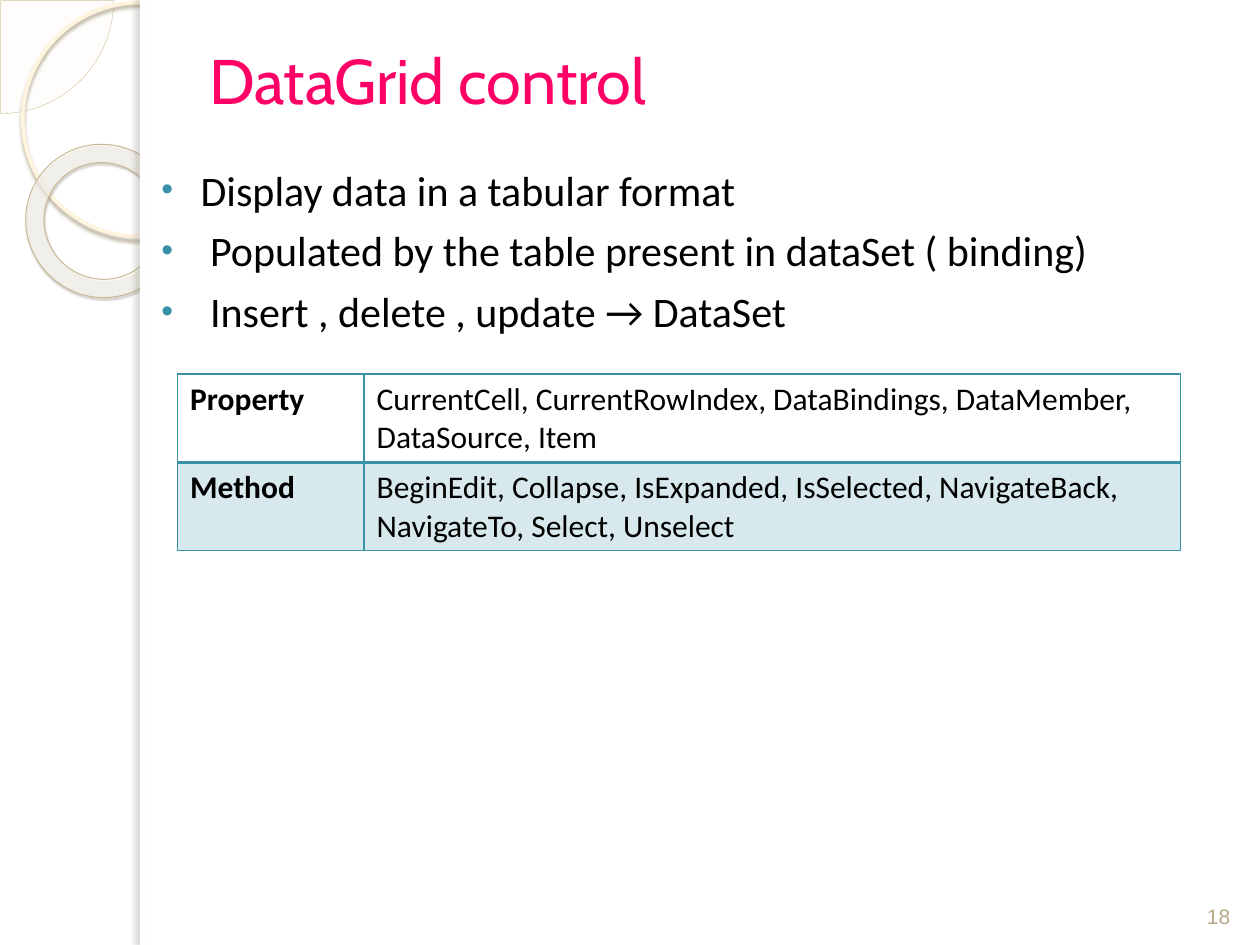
"""Build the DataGrid control slide with its ring decoration, bullet list and table."""
from dataclasses import dataclass
from typing import Optional

from lxml.etree import SubElement
from pptx import Presentation
from pptx.dml.color import RGBColor
from pptx.enum.shapes import MSO_SHAPE
from pptx.enum.text import MSO_ANCHOR, PP_ALIGN
from pptx.oxml import parse_xml
from pptx.oxml.ns import nsdecls, qn
from pptx.util import Cm, Pt

TEAL = "3891A7"
BLACK = "000000"
WHITE = "FFFFFF"

BULLETS = (
    "Display data in a tabular format",
    " Populated by the table present in dataSet ( binding)",
    " Insert , delete , update → DataSet",
)
TABLE_ROWS = (
    ("Property", "CurrentCell, CurrentRowIndex, DataBindings, DataMember, DataSource, Item"),
    ("Method", "BeginEdit, Collapse, IsExpanded, IsSelected, NavigateBack, "
               "NavigateTo, Select, Unselect"),
)


@dataclass(frozen=True)
class Shadow:
    color: str
    opacity: int
    blur: float
    distance: float
    angle: int


@dataclass(frozen=True)
class Ornament:
    preset: MSO_SHAPE
    place: tuple
    fill: Optional[str] = None
    opacity: int = 100
    line: Optional[str] = None
    line_width: float = 0
    adjustments: tuple = ()
    rotation: float = 0
    shadow: Optional[Shadow] = None


ORNAMENTS = (
    Ornament(MSO_SHAPE.PIE, (-2.26, -2.26, 4.55, 4.55), "FEFAF4", 33, "D3C39F", 0.25,
             adjustments=(0, 54)),
    Ornament(MSO_SHAPE.OVAL, (0.46, 0.05, 4.72, 4.72), line="FFF5DE", line_width=2.15,
             shadow=Shadow("B0A68F", 85, 2, 2, 90)),
    Ornament(MSO_SHAPE.DONUT, (0.51, 2.92, 3.12, 3.07), "FFFDF8", 60, "C7B893", 0.58,
             adjustments=(0.12,), rotation=38.6, shadow=Shadow("5A5444", 35, 1, 1.2, 75)),
    Ornament(MSO_SHAPE.RECTANGLE, (2.82, 0, 22.58, 19.05), WHITE),
    Ornament(MSO_SHAPE.RECTANGLE, (2.82, 0, 0.2, 19.05), WHITE,
             shadow=Shadow("736F63", 25, 3, 3, 180)),
)


def rgb(color: str) -> RGBColor:
    return RGBColor.from_string(color)


def place(shape, left: float, top: float, width: float, height: float) -> None:
    shape.left, shape.top, shape.width, shape.height = map(Cm, (left, top, width, height))


def paint(fill, owner, color: str, opacity: int = 100) -> None:
    fill.solid()
    fill.fore_color.rgb = rgb(color)
    if opacity < 100:
        tint = owner.find(qn("a:solidFill")).find(qn("a:srgbClr"))
        SubElement(tint, qn("a:alpha"), val=str(opacity * 1000))


def write(para, text: str, *, size: float, font: str, color: str,
          bold: bool = False, align: PP_ALIGN = PP_ALIGN.LEFT) -> None:
    para.alignment = align
    span = para.add_run()
    span.text = text
    span.font.size = Pt(size)
    span.font.name = font
    span.font.bold = bold
    span.font.color.rgb = rgb(color)


def add_bullet(para) -> None:
    para.space_before = Pt(6)
    properties = para._p.get_or_add_pPr()
    properties.set("marL", str(Cm(1.02)))
    properties.set("indent", str(Cm(-0.79)))
    SubElement(SubElement(properties, qn("a:buClr")), qn("a:srgbClr"), val=TEAL)
    SubElement(properties, qn("a:buSzPct"), val="80000")
    SubElement(properties, qn("a:buFont"), typeface="Arial")
    SubElement(properties, qn("a:buChar"), char="•")


def cast_shadow(shape, shadow: Shadow) -> None:
    effects = shape._element.spPr.find(qn("a:effectLst"))
    outer = SubElement(effects, qn("a:outerShdw"), blurRad=str(Pt(shadow.blur)),
                       dist=str(Pt(shadow.distance)), dir=str(shadow.angle * 60000),
                       algn="tl", rotWithShape="0")
    tint = SubElement(outer, qn("a:srgbClr"), val=shadow.color)
    SubElement(tint, qn("a:alpha"), val=str(shadow.opacity * 1000))


def draw_ornament(page, ornament: Ornament) -> None:
    shape = page.shapes.add_shape(ornament.preset, *map(Cm, ornament.place))
    for index, value in enumerate(ornament.adjustments):
        shape.adjustments[index] = value
    shape.rotation = ornament.rotation
    shape.shadow.inherit = False
    if ornament.fill:
        paint(shape.fill, shape._element.spPr, ornament.fill, ornament.opacity)
    else:
        shape.fill.background()
    if ornament.line:
        shape.line.color.rgb = rgb(ornament.line)
        shape.line.width = Pt(ornament.line_width)
    else:
        shape.line.fill.background()
    if ornament.shadow:
        cast_shadow(shape, ornament.shadow)


def border_cell(cell, **widths: float) -> None:
    properties = cell._tc.get_or_add_tcPr()
    for index, side in enumerate("LRTB"):
        properties.insert(index, parse_xml(
            f'<a:ln{side} {nsdecls("a")} w="{Pt(widths.get(side, 1))}"><a:solidFill>'
            f'<a:srgbClr val="{TEAL}"/></a:solidFill></a:ln{side}>'))


def draw_table(page) -> None:
    table = page.shapes.add_table(2, 2, Cm(3.58), Cm(7.54), Cm(20.22), Cm(3.56)).table
    table.first_row = table.horz_banding = False
    for column, width in zip(table.columns, (3.76, 16.46)):
        column.width = Cm(width)
    for row, texts in enumerate(TABLE_ROWS):
        for column, text in enumerate(texts):
            cell = table.cell(row, column)
            write(cell.text_frame.paragraphs[0], text, size=18, font="Calibri",
                  color=BLACK, bold=column == 0)
            if row:
                paint(cell.fill, cell._tc.get_or_add_tcPr(), TEAL, 20)
                border_cell(cell, T=2)
            else:
                cell.fill.background()
                border_cell(cell, B=2)


def main() -> None:
    deck = Presentation()
    deck.slide_width, deck.slide_height = Cm(25.4), Cm(19.05)
    page = deck.slides.add_slide(deck.slide_layouts[1])
    title, body = page.placeholders
    for ornament in ORNAMENTS:
        draw_ornament(page, ornament)
    page.shapes._spTree.extend([title._element, body._element])

    place(title, 3.96, 0, 20.83, 3.18)
    title.text_frame.vertical_anchor = MSO_ANCHOR.MIDDLE
    write(title.text_frame.paragraphs[0], "DataGrid control", size=36, font="Cabin",
          color="FF0066")

    place(body, 2.77, 3.18, 22.05, 14.17)
    for index, text in enumerate(BULLETS):
        para = body.text_frame.add_paragraph() if index else body.text_frame.paragraphs[0]
        add_bullet(para)
        write(para, text, size=24, font="Calibri", color=BLACK)

    number = page.shapes.add_textbox(Cm(23.93), Cm(17.53), Cm(1.27), Cm(1.32))
    number.text_frame.word_wrap = True
    number.text_frame.vertical_anchor = MSO_ANCHOR.BOTTOM
    write(number.text_frame.paragraphs[0], "18", size=12, font="Arial", color="B5A788",
          align=PP_ALIGN.CENTER)
    draw_table(page)
    deck.save("out.pptx")


if __name__ == "__main__":
    main()
